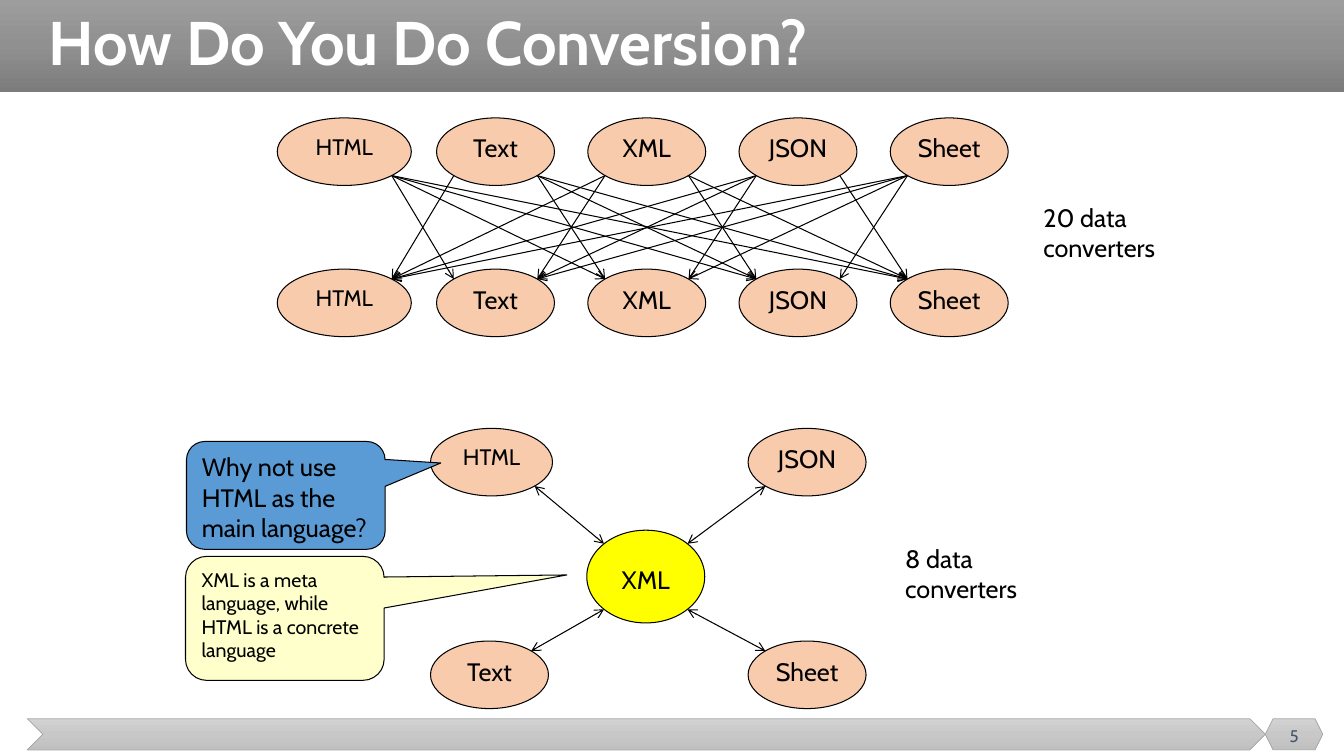
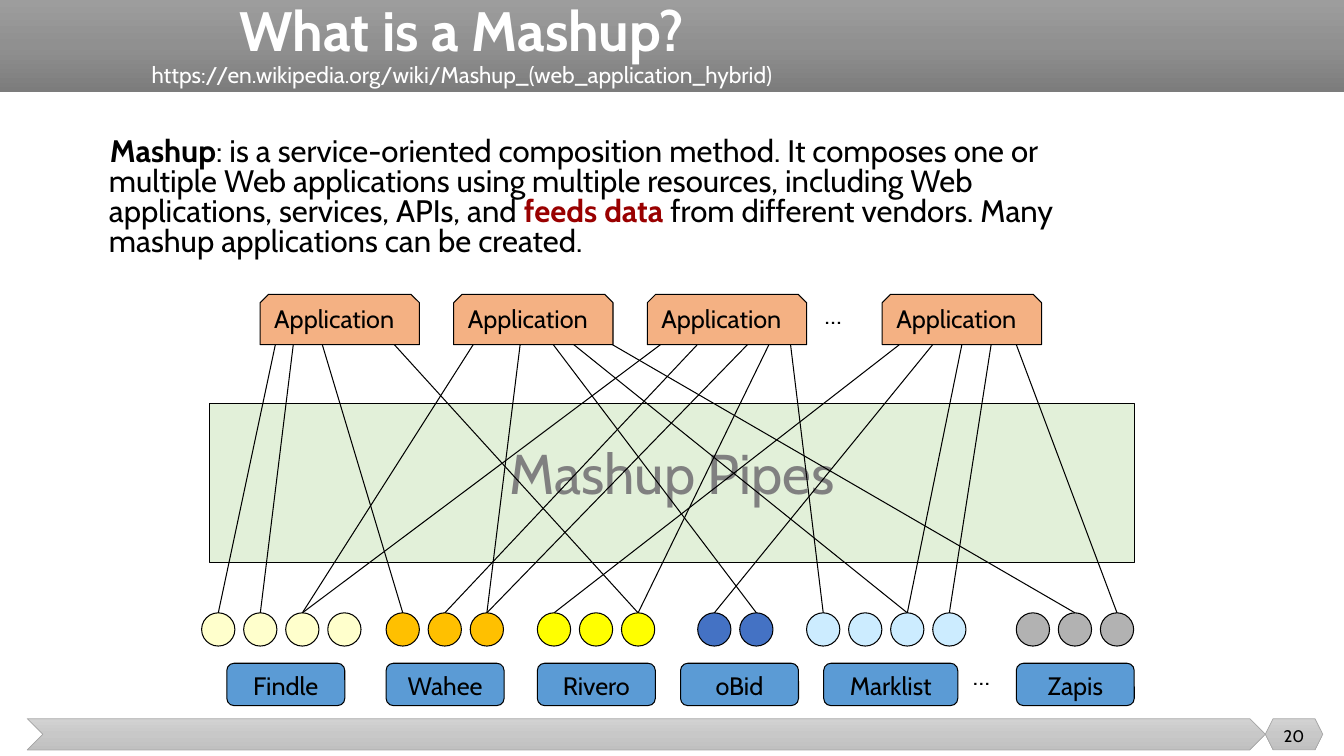
from copy import deepcopy

from pptx import Presentation
from pptx.dml.color import RGBColor
from pptx.enum.shapes import MSO_CONNECTOR, MSO_SHAPE as Preset
from pptx.enum.text import MSO_ANCHOR as Anchor, MSO_AUTO_SIZE as AutoSize, PP_ALIGN as Align
from pptx.oxml.ns import qn
from pptx.oxml.xmlchemy import OxmlElement
from pptx.util import Inches, Pt

FONT = "Cabin"
COLORS = {
    "black": "000000", "white": "FFFFFF", "slate": "44546A", "gray": "808080",
    "red": "990000", "peach": "F8CBAD", "orange": "F4B183", "yellow": "FFFF00",
    "cream": "FFFFCC", "blue": "5B9BD5", "navy": "4472C4", "sky": "CCECFF",
    "gold": "FFC000", "silver": "B2B2B2", "green": "E2F0D9", "edge": "A5A5A5",
}
BAND_GRADIENT = ("9D9D9D", "909090", "7C7C7C")
FOOTER_GRADIENT = ("D2D2D2", "C8C8C8", "C0C0C0")
BANDS = [  # preset, box, gradient, outlined
    (Preset.RECTANGLE, (0, 0, 13.33, 0.91), BAND_GRADIENT, False),
    (Preset.CHEVRON, (0.27, 7.13, 12.28, 0.31), FOOTER_GRADIENT, True),
    (Preset.HEXAGON, (12.55, 7.13, 0.57, 0.31), FOOTER_GRADIENT, True),
]

# Conversion slide: name, left, width, text size
FORMATS = [("HTML", 2.75, 1.33, 16), ("Text", 4.33, 1.17, 18), ("XML", 5.83, 1.17, 18),
           ("JSON", 7.33, 1.17, 18), ("Sheet", 8.83, 1.17, 18)]
FORMAT_ROWS = (1.17, 2.67)
HUB_BOX = (5.82, 5.26, 1.17, 0.92)
SPOKES = [  # name, box, size, side of the spoke (x, y) that faces the hub
    ("HTML", (4.27, 4.25, 1.21, 0.67), 16, (1, 1)),
    ("Text", (4.27, 6.36, 1.17, 0.67), 18, (1, -1)),
    ("JSON", (7.42, 4.25, 1.17, 0.67), 18, (-1, 1)),
    ("Sheet", (7.42, 6.36, 1.17, 0.67), 18, (-1, -1)),
]
COUNTS = [("20 data converters", 10.25, 1.96), ("8 data converters", 8.88, 5.34)]
CALLOUTS = [
    ("Why not use HTML as the main language?", (1.85, 4.38, 1.97, 1.07), "blue", 18,
     (0.78, -0.3, 0.17)),
    ("XML is a meta language, while HTML is a concrete language", (1.84, 5.52, 1.97, 1.23),
     "cream", 14, (1.42, -0.35, 0.17)),
]

# Mashup slide
DEFINITION = [
    ("Mashup", "black", True),
    (": is a service-oriented composition method. It composes one or multiple Web "
     "applications using multiple resources, including Web applications, services, "
     "APIs, and ", "black", False),
    ("feeds data ", "red", True),
    ("from different vendors. Many mashup applications can be created.", "black", False),
]
PIPES_BOX = (2.08, 4, 9.17, 1.58)
SOURCES = [  # name, label left, label width, first circle left, circle count, circle color
    ("Findle", 2.25, 1.17, 2, 4, "cream"),
    ("Wahee", 3.83, 1.17, 3.83, 3, "gold"),
    ("Rivero", 5.33, 1.17, 5.33, 3, "yellow"),
    ("oBid", 6.75, 1.17, 6.92, 2, "navy"),
    ("Marklist", 8.17, 1.33, 8, 4, "sky"),
    ("Zapis", 10.08, 1.17, 10.08, 3, "silver"),
]
CIRCLE_SIZE, CIRCLE_STEP = 0.33, 0.417
APPLICATIONS = [  # left, link end y, links as (source, circle, link end x)
    (2.58, 3.33, [(0, 0, 2.75), (0, 1, 2.92), (1, 0, 3.17), (2, 2, 3.83)]),
    (4.5, 3.33, [(0, 2, 4.75), (1, 2, 5.17), (3, 1, 5.42), (4, 2, 5.58), (5, 1, 5.92)]),
    (6.42, 3.33, [(0, 2, 6.67), (1, 1, 7), (1, 2, 7.5), (2, 2, 7.67), (4, 0, 7.83)]),
    (8.75, 3.42, [(2, 0, 8.92), (3, 0, 9.25), (4, 2, 9.54), (4, 3, 9.83), (5, 2, 10.08)]),
]
ELLIPSES = [(9.55, 6.5), (8.08, 2.92)]


def rgb(name):
    return RGBColor.from_string(COLORS[name])


def inches(box):
    return [Inches(value) for value in box]


def add_run(paragraph, text, size, color="black", bold=False):
    run = paragraph.add_run()
    run.text = text
    run.font.name, run.font.size, run.font.bold = FONT, Pt(size), bold
    run.font.color.rgb = rgb(color)


def set_text(shape, text, size, color="black", align=Align.LEFT, anchor=Anchor.TOP, wrap=True):
    frame = shape.text_frame
    frame.word_wrap, frame.vertical_anchor = wrap, anchor
    paragraph = frame.paragraphs[0]
    paragraph.alignment = align
    add_run(paragraph, text, size, color)
    return paragraph


def add_textbox(slide, box, text, size, **style):
    return set_text(slide.shapes.add_textbox(*inches(box)), text, size, **style)


def add_shape(slide, preset, box, fill=None, line="black", width=0.75):
    shape = slide.shapes.add_shape(preset, *inches(box))
    shape.shadow.inherit = False
    if fill:
        shape.fill.solid()
        shape.fill.fore_color.rgb = rgb(fill)
    else:
        shape.fill.background()
    if line:
        shape.line.color.rgb = rgb(line)
        shape.line.width = Pt(width)
    else:
        shape.line.fill.background()
    return shape


def add_node(slide, box, name, size=18, fill="peach"):
    shape = add_shape(slide, Preset.OVAL, box, fill)
    return set_text(shape, name, size, align=Align.CENTER, wrap=False)


def add_line(slide, start, end, arrows=()):
    line = slide.shapes.add_connector(MSO_CONNECTOR.STRAIGHT, *inches(start + end))
    line.line.color.rgb = rgb("black")
    line.line.width = Pt(0.75)
    for tag in arrows:
        arrow = OxmlElement(tag)
        arrow.set("type", "arrow")
        line.line._get_or_add_ln().append(arrow)
    line._element.spPr.append(OxmlElement("a:effectLst"))
    return line


def diagonal_point(box, side_x, side_y):
    """Point of an ellipse at 45 degrees towards the given corner."""
    left, top, width, height = box
    return (left + width * (0.5 + 0.354 * side_x), top + height * (0.5 + 0.354 * side_y))


def add_master_bands(presentation, slide):
    """Draw the bands and move them behind everything on the master."""
    tree = presentation.slide_master.element.cSld.spTree
    for index, (preset, box, gradient, outlined) in enumerate(BANDS):
        shape = add_shape(slide, preset, box, line="edge" if outlined else None, width=0.5)
        shape.fill.gradient()
        shape.fill.gradient_angle = 270
        stop_list = shape.element.spPr.find(".//" + qn("a:gsLst"))
        stop_list.insert(1, deepcopy(stop_list[0]))
        for stop, color, position in zip(shape.fill.gradient_stops, gradient, (0, 0.5, 1)):
            stop.color.rgb = RGBColor.from_string(color)
            stop.position = position
        shape.element.nvSpPr.cNvPr.set("id", str(100 + index))
        tree.insert(2 + index, shape.element)


def place(placeholder, box, anchor):
    placeholder.left, placeholder.top, placeholder.width, placeholder.height = inches(box)
    frame = placeholder.text_frame
    frame.auto_size, frame.word_wrap, frame.vertical_anchor = AutoSize.NONE, True, anchor
    return frame.paragraphs[0]


def add_title(slide, text, box, size, align):
    paragraph = place(slide.shapes.title, box, Anchor.MIDDLE)
    paragraph.alignment, paragraph.line_spacing = align, 0.9
    add_run(paragraph, text, size, "white", True)
    return paragraph


def add_number(slide, number, color):
    add_textbox(slide, (12.55, 7.1, 0.57, 0.4), number, 12, color=color,
                align=Align.CENTER, anchor=Anchor.MIDDLE)


def build_conversion(slide):
    add_title(slide, "How Do You Do Conversion?", (0.38, 0, 12.74, 0.91), 44, Align.LEFT)
    add_number(slide, "5", "slate")

    # Every format converted to every other one
    rows = [[(left, top, width, 0.67) for _, left, width, _ in FORMATS] for top in FORMAT_ROWS]
    for boxes in rows:
        for box, (name, _, _, size) in zip(boxes, FORMATS):
            add_node(slide, box, name, size)
    for i, source in enumerate(rows[0]):
        for j, target in enumerate(rows[1]):
            if i != j:
                side = 1 if j > i else -1
                add_line(slide, diagonal_point(source, side, 1),
                         diagonal_point(target, -side, -1), ["a:tailEnd"])

    # One format as the hub
    for name, box, size, (side_x, side_y) in SPOKES:
        add_node(slide, box, name, size)
        add_line(slide, diagonal_point(box, side_x, side_y),
                 diagonal_point(HUB_BOX, -side_x, -side_y), ["a:headEnd", "a:tailEnd"])
    add_node(slide, HUB_BOX, "XML", fill="yellow").line_spacing = 1.5

    # Counts and callouts
    for text, left, top in COUNTS:
        add_textbox(slide, (left, top, 1.42, 0.71), text, 18)
    for text, box, fill, size, adjustments in CALLOUTS:
        callout = add_shape(slide, Preset.ROUNDED_RECTANGULAR_CALLOUT, box, fill)
        for index, value in enumerate(adjustments):
            callout.adjustments[index] = value
        set_text(callout, text, size)


def build_mashup(slide):
    title = add_title(slide, "What is a Mashup?", (0.08, 0.08, 9, 0.75), 39.6, Align.CENTER)
    title.add_line_break()
    add_run(title, "https://en.wikipedia.org/wiki/Mashup_(web_application_hybrid)", 16.2, "white")
    add_number(slide, "20", "black")

    # Definition
    paragraph = place(slide.placeholders[1], (0.73, 1.33, 10.43, 1.42), Anchor.TOP)
    properties = paragraph._p.get_or_add_pPr()
    properties.set("marL", str(Inches(0.25)))
    properties.set("indent", str(Inches(0.01)))
    properties.append(OxmlElement("a:buNone"))
    paragraph.line_spacing, paragraph.space_before = 0.8, Pt(0)
    for text, color, bold in DEFINITION:
        add_run(paragraph, text, 22.2, color, bold)

    # Pipes
    pipes = add_shape(slide, Preset.RECTANGLE, PIPES_BOX, "green")
    set_text(pipes, "Mashup Pipes", 40, "gray", Align.CENTER)
    pipes.text_frame.margin_top = Inches(0.35)

    # Sources with their circles
    circles = []
    for name, left, width, first, count, color in SOURCES:
        label = add_shape(slide, Preset.ROUNDED_RECTANGLE, (left, 6.58, width, 0.42), "blue")
        label.adjustments[0] = 0.17
        set_text(label, name, 18, align=Align.CENTER)
        circles.append([
            add_shape(slide, Preset.OVAL,
                      (first + index * CIRCLE_STEP, 6.08, CIRCLE_SIZE, CIRCLE_SIZE), color)
            for index in range(count)])

    # Links run behind the applications
    for left, end_y, links in APPLICATIONS:
        for source, circle, end_x in links:
            link = add_line(slide, (end_x, 6.08), (end_x, end_y))
            link.begin_connect(circles[source][circle], 0)
    for left, _, _ in APPLICATIONS:
        application = add_shape(slide, Preset.SNIP_2_SAME_RECTANGLE, (left, 2.92, 1.58, 0.5),
                                "orange")
        set_text(application, "Application", 18)
    for left, top in ELLIPSES:
        add_textbox(slide, (left, top, 0.45, 0.4), "…", 18, wrap=False)


def main():
    presentation = Presentation()
    presentation.slide_width, presentation.slide_height = Inches(13.33), Inches(7.5)
    layouts = presentation.slide_layouts
    conversion = presentation.slides.add_slide(layouts[5])
    add_master_bands(presentation, conversion)
    build_conversion(conversion)
    build_mashup(presentation.slides.add_slide(layouts[1]))
    presentation.save("out.pptx")


if __name__ == "__main__":
    main()
